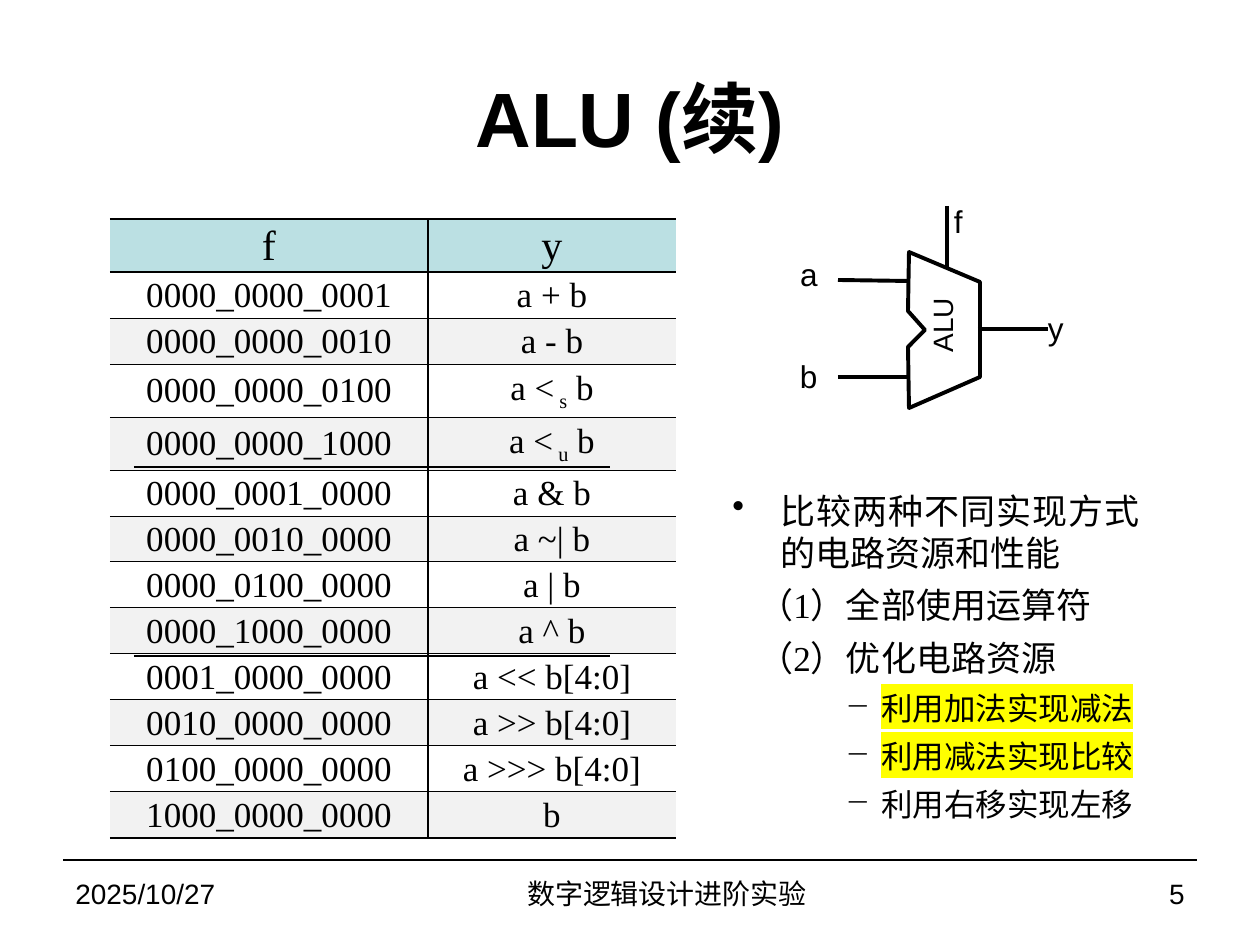
import pptx
import pptx.util
import pptx.dml.color
import pptx.enum.shapes
import pptx.enum.text
import pptx.oxml
import pptx.oxml.ns
from lxml import etree

PX = 914400 / 126
BLACK = "000000"
ALIGN = pptx.enum.text.PP_ALIGN
ANCHOR = pptx.enum.text.MSO_ANCHOR
qn = pptx.oxml.ns.qn


def px(*nums):
    return [pptx.util.Emu(round(n * PX)) for n in nums]


def paint(fmt, hue):
    fmt.solid()
    fmt.fore_color.rgb = pptx.dml.color.RGBColor.from_string(hue)


prs = pptx.Presentation()
prs.slide_width, prs.slide_height = px(1260, 945)
slide = prs.slides.add_slide(prs.slide_layouts[6])
shapes = slide.shapes

rows = [
    ("f", "y"),
    ("0000_0000_0001", "a + b"),
    ("0000_0000_0010", "a - b"),
    ("0000_0000_0100", "a <| s| b"),
    ("0000_0000_1000", "a <| u| b"),
    ("0000_0001_0000", "a & b"),
    ("0000_0010_0000", "a ~| b"),
    ("0000_0100_0000", "a | b"),
    ("0000_1000_0000", "a ^ b"),
    ("0001_0000_0000", "a << b[4:0]"),
    ("0010_0000_0000", "a >> b[4:0]"),
    ("0100_0000_0000", "a >>> b[4:0]"),
    ("1000_0000_0000", "b"),
]
tall = (0, 3, 4)
last = len(rows) - 1
table = shapes.add_table(len(rows), 2, *px(110, 219, 566, 619)).table
table.first_row = table.horz_banding = False
table._tbl.tblPr[0].text = "{2D5ABB26-0587-4C30-8999-92F81FD0307C}"
for col, wide in zip(table.columns, px(318, 248)):
    col.width = wide

for r, row in enumerate(rows):
    table.rows[r].height = px(53 if r in tall else 46)[0]
    for c, text in enumerate(row):
        cell = table.cell(r, c)
        cell.margin_left, cell.margin_top, cell.margin_right = px(1, 1, 1)
        cell.margin_bottom = 0
        cell.vertical_anchor = ANCHOR.MIDDLE
        edges = [
            ("lnL" if c else "lnR", 1),
            ("lnT", 1 if r < 2 else 0.5),
            ("lnB", 1 if r in (0, last) else 0.5),
        ]
        props = cell._tc.get_or_add_tcPr()
        for edge, wide in edges:
            line = etree.SubElement(props, qn("a:" + edge), w=str(int(wide * 12700)))
            fill = etree.SubElement(line, qn("a:solidFill"))
            etree.SubElement(fill, qn("a:srgbClr"), val=BLACK)
        if r == 0:
            paint(cell.fill, "BBE0E3")
        elif r % 2 == 0:
            paint(cell.fill, "F2F2F2")
        else:
            cell.fill.background()
        para = cell.text_frame.paragraphs[0]
        para.alignment = ALIGN.CENTER
        parts = text.split("|") if r in (3, 4) else [text]
        for i, part in enumerate(parts):
            run = para.add_run()
            run.text = part
            run.font.size = pptx.util.Pt(20 if r else 24)
            run.font.name = "Times New Roman"
            paint(run.font.fill, BLACK)
            if i == 1:
                run.font._element.set("baseline", "-25000")

lines = [
    (63, 860, 1197, 860, 0.75),
    (134, 467, 610, 467, 0.75),
    (134, 656, 610, 656, 0.75),
    (838, 280, 908, 281, 2.25),
    (838, 377, 908, 377, 2.25),
    (947, 206, 947, 267, 2.25),
    (978, 329, 1048, 329, 2.25),
]
for *ends, wide in lines:
    wire = shapes.add_connector(pptx.enum.shapes.MSO_CONNECTOR.STRAIGHT, *px(*ends))
    wire.line.width = pptx.util.Pt(wide)
    paint(wire.line.fill, BLACK)
    etree.SubElement(wire._element.spPr, qn("a:effectLst"))

pen = shapes.build_freeform(909, 252, scale=PX)
pen.add_line_segments(
    [(980, 282), (980, 377), (909, 408), (908, 347), (925, 330), (908, 311)]
)
alu = pen.convert_to_shape()
alu.shadow.inherit = False
alu.fill.background()
alu.line.width = pptx.util.Pt(2.25)
paint(alu.line.fill, BLACK)

texts = [
    ("ALU (续)", 63, 38, 1134, 157, 44, ALIGN.CENTER),
    ("2025/10/27", 63, 861, 294, 65, 16, ALIGN.LEFT),
    ("数字逻辑设计进阶实验", 357, 861, 620, 65, 16, ALIGN.CENTER),
    ("5", 977, 861, 220, 65, 16, ALIGN.RIGHT),
    ("a", 800, 257, 42, 34, 18, None),
    ("b", 800, 359, 40, 34, 18, None),
    ("f", 954, 201, 53, 39, 18, None),
    ("y", 1048, 311, 42, 34, 18, None),
    ("ALU", 919, 297, 59, 68, 16, None),
]
for text, x, y, w, h, size, align in texts:
    box = shapes.add_textbox(*px(x, y, w, h))
    frame = box.text_frame
    frame.text = text
    frame.word_wrap = align is not None
    if text == "ALU":
        frame._txBody.bodyPr.set("vert", "vert270")
    else:
        frame.vertical_anchor = ANCHOR.MIDDLE
    if len(text) == 1 and align is None:
        frame.margin_left = frame.margin_right = 0
        frame.margin_top = frame.margin_bottom = 0
    para = frame.paragraphs[0]
    para.alignment = align
    font = para.runs[0].font
    font.size = pptx.util.Pt(size)
    font.name = "Arial"
    font.bold = size == 44
    paint(font.fill, BLACK)

notes = [
    ("比较两种不同实现方式的电路资源和性能", 84, -48, "•", 20, False),
    ("（1）全部使用运算符", 62, 0, None, 20, False),
    ("（2）优化电路资源", 62, 0, None, 20, False),
    ("利用加法实现减法", 185, -36, "−", 18, True),
    ("利用减法实现比较", 185, -36, "−", 18, True),
    ("利用右移实现左移", 185, -36, "−", 18, False),
]
frame = shapes.add_textbox(*px(684, 483, 468, 350)).text_frame
frame.word_wrap = True
frame.text = "\n".join(note[0] for note in notes)
for para, (text, left, hang, mark, size, lit) in zip(frame.paragraphs, notes):
    para.alignment = ALIGN.JUSTIFY
    para.space_after = pptx.util.Pt(6)
    para.level = int(size == 18)
    props = para._p.get_or_add_pPr()
    for key, size_px in zip(("marL", "indent"), px(left, hang)):
        props.set(key, str(size_px))
    if mark:
        etree.SubElement(props, qn("a:buChar"), char=mark)
    font = para.runs[0].font
    font.size = pptx.util.Pt(size)
    paint(font.fill, BLACK)
    if lit:
        glow = etree.SubElement(font._element, qn("a:highlight"))
        etree.SubElement(glow, qn("a:srgbClr"), val="FFFF00")
    font.name = "Times New Roman"

prs.save("out.pptx")
